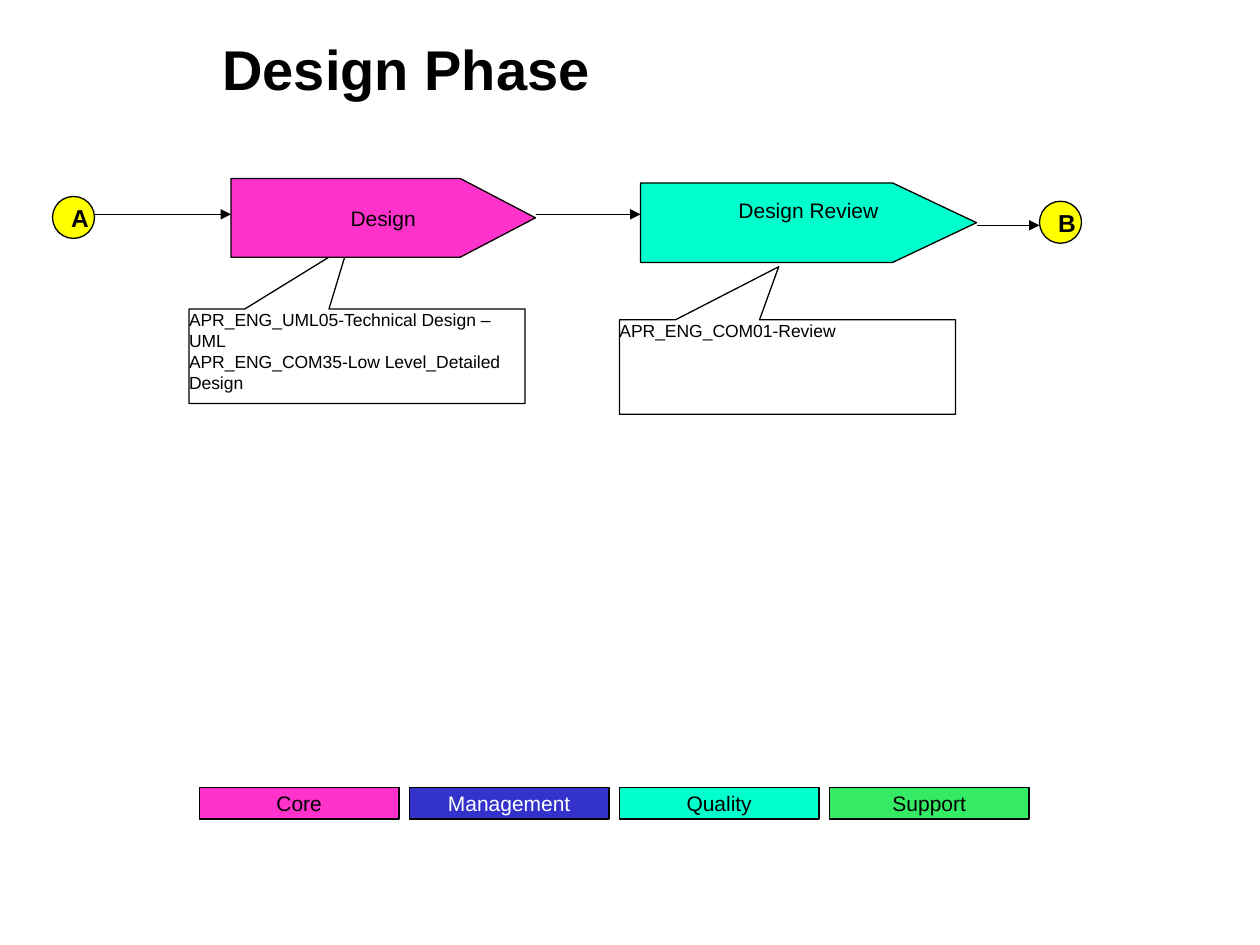
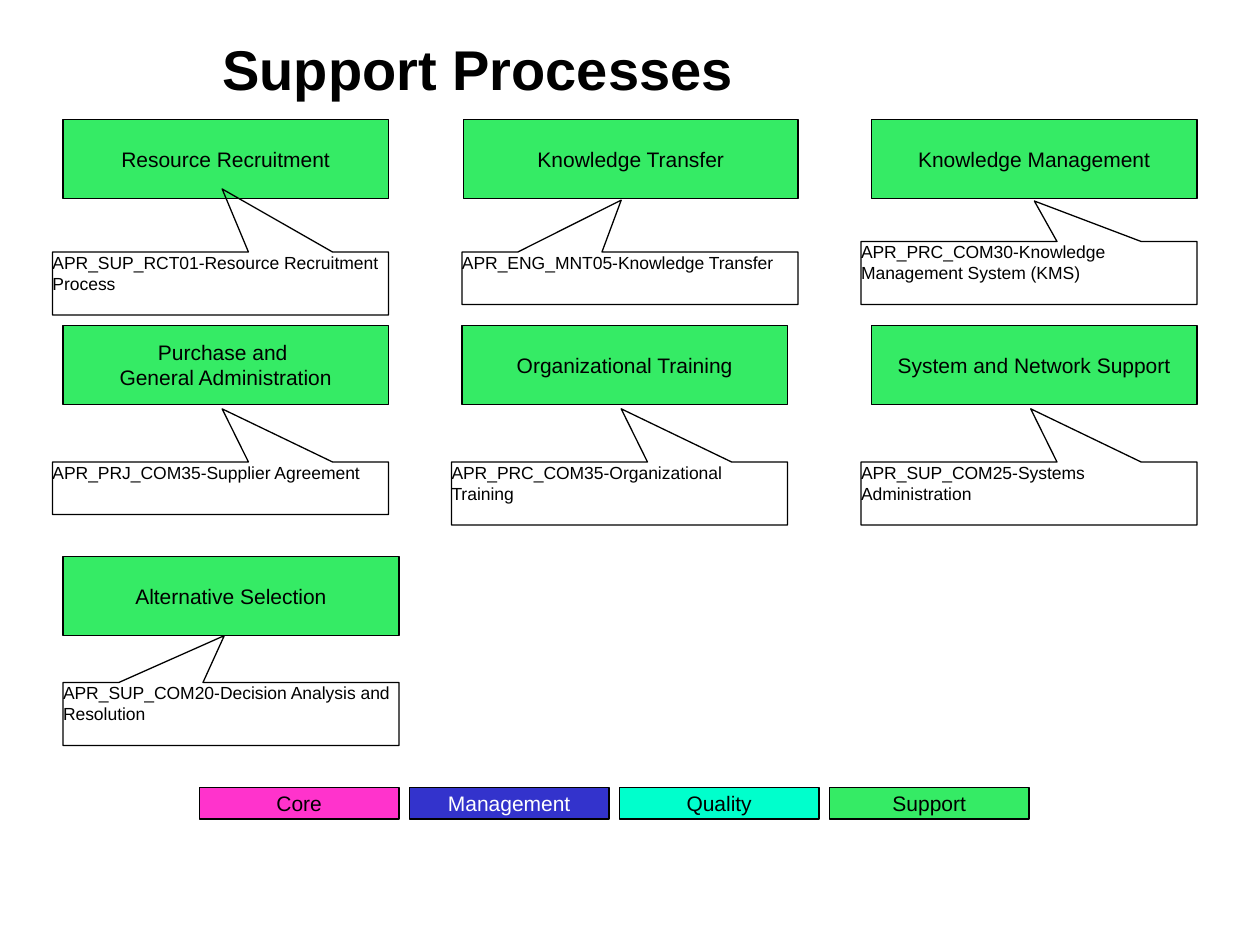
from dataclasses import dataclass

from lxml.etree import SubElement
from pptx import Presentation
from pptx.dml.color import RGBColor
from pptx.enum.shapes import MSO_CONNECTOR, MSO_SHAPE
from pptx.enum.text import MSO_ANCHOR, PP_ALIGN
from pptx.oxml.ns import qn
from pptx.util import Pt


@dataclass(frozen=True)
class Theme:
    font: str = "Arial"
    ink: str = "000000"
    paper: str = "FFFFFF"
    core: str = "FF33CC"
    management: str = "3333CC"
    quality: str = "00FFCC"
    support: str = "35EB65"
    marker: str = "FFFF00"
    title_size: float = 32
    marker_size: float = 14
    label_size: float = 12
    note_size: float = 10
    line: float = 0.75


T = Theme()

# Content (lengths in points)
LEGEND = [
    ("Core", T.core, T.ink),
    ("Management", T.management, T.paper),
    ("Quality", T.quality, T.ink),
    ("Support", T.support, T.ink),
]

# label, fill, left, top, width, height, shoulder width, bottom inset
STEPS = [
    ("Design", T.core, 132, 102, 174, 45, 131, 3.6),
    ("Design Review", T.quality, 366, 104.5, 192, 45.5, 144, 17.4),
]
# lines, left, top, height, pointer offsets
STEP_NOTES = [
    (["APR_ENG_UML05-Technical Design – UML",
      "APR_ENG_COM35-Low Level_Detailed Design"], 108, 176.5, 54, (-0.026, -1.174)),
    (["APR_ENG_COM01-Review"], 354, 182.75, 54, (-0.026, -1.062)),
]
MARKERS = [("A", 30, 112.25), ("B", 594, 115)]
ARROWS = [(54, 132, 122.5), (306, 366, 122.5), (558, 594, 128.75)]  # from x, to x, y

# box lines, left, top, width, note, note left, note top, note height, pointer offsets
SUPPORT = [
    (["Resource Recruitment"], 36, 68.5, 186,
     "APR_SUP_RCT01-Resource Recruitment Process", 30, 144, 36, (0.005, -1.5)),
    (["Knowledge Transfer"], 265, 68.5, 191,
     "APR_ENG_MNT05-Knowledge Transfer", 264, 144, 30, (-0.026, -1.488)),
    (["Knowledge Management"], 498, 68.5, 186,
     "APR_PRC_COM30-Knowledge Management System (KMS)", 492, 138, 36, (0.016, -1.142)),
    (["Purchase and ", "General Administration"], 36, 186, 186,
     "APR_PRJ_COM35-Supplier Agreement", 30, 264, 30, (0.005, -1.512)),
    (["Organizational Training"], 264, 186, 186,
     "APR_PRC_COM35-Organizational Training", 258, 264, 36, (0.005, -1.344)),
    (["System and Network Support"], 498, 186, 186,
     "APR_SUP_COM25-Systems Administration", 492, 264, 36, (0.005, -1.344)),
    (["Alternative Selection"], 36, 318, 192,
     "APR_SUP_COM20-Decision Analysis and Resolution", 36, 390, 36, (-0.02, -1.243)),
]
BOX_HEIGHT = 45
NOTE_WIDTH = 192
MARKER_SIDE = 24


def rgb(value):
    return RGBColor.from_string(value)


def write(s, lines, size, color=T.ink, bold=False, align=PP_ALIGN.CENTER,
          anchor=MSO_ANCHOR.MIDDLE, wrap=False):
    tf = s.text_frame
    tf.word_wrap = wrap
    tf.vertical_anchor = anchor
    for i, line in enumerate(lines):
        p = tf.paragraphs[0] if i == 0 else tf.add_paragraph()
        p.alignment = align
        r = p.add_run()
        r.text = line
        r.font.name = T.font
        r.font.size = Pt(size)
        r.font.bold = bold
        r.font.color.rgb = rgb(color)
    return tf


def style(s, fill=None):
    s.shadow.inherit = False
    if fill:
        s.fill.solid()
        s.fill.fore_color.rgb = rgb(fill)
    else:
        s.fill.background()
    s.line.color.rgb = rgb(T.ink)
    s.line.width = Pt(T.line)
    return s


def add_preset(slide, kind, x, y, w, h, fill=None):
    return style(slide.shapes.add_shape(kind, Pt(x), Pt(y), Pt(w), Pt(h)), fill)


def add_box(slide, lines, fill, x, y, w, h, color=T.ink):
    write(add_preset(slide, MSO_SHAPE.RECTANGLE, x, y, w, h, fill),
          lines, T.label_size, color)


def add_note(slide, lines, x, y, h, pointer):
    s = add_preset(slide, MSO_SHAPE.RECTANGULAR_CALLOUT, x, y, NOTE_WIDTH, h)
    s.adjustments[0], s.adjustments[1] = pointer
    tf = write(s, lines, T.note_size, align=PP_ALIGN.LEFT,
               anchor=MSO_ANCHOR.TOP, wrap=True)
    tf.margin_left = tf.margin_right = tf.margin_top = tf.margin_bottom = 0


def add_step(slide, label, fill, x, y, w, h, shoulder, bottom_inset):
    builder = slide.shapes.build_freeform(Pt(x), Pt(y))
    outline = [(x + shoulder, y), (x + w, y + h / 2), (x + shoulder, y + h), (x, y + h)]
    builder.add_line_segments([(Pt(px), Pt(py)) for px, py in outline], close=True)
    s = style(builder.convert_to_shape(), fill)
    write(s, [label], T.label_size).margin_bottom = Pt(bottom_inset)


def add_arrow(slide, x1, x2, y):
    s = slide.shapes.add_connector(MSO_CONNECTOR.STRAIGHT, Pt(x1), Pt(y), Pt(x2), Pt(y))
    s.line.color.rgb = rgb(T.ink)
    s.line.width = Pt(T.line)
    SubElement(s.line._get_or_add_ln(), qn("a:tailEnd"), type="triangle")
    SubElement(s._element.spPr, qn("a:effectLst"))


def add_slide(prs, title):
    slide = prs.slides.add_slide(prs.slide_layouts[6])
    s = slide.shapes.add_textbox(Pt(120), Pt(12), Pt(588), Pt(54))
    write(s, [title], T.title_size, bold=True, align=PP_ALIGN.LEFT, wrap=True)
    return slide


def add_legend(slide):
    for i, (label, fill, color) in enumerate(LEGEND):
        add_box(slide, [label], fill, 114 + i * 120, 450, 114, 18, color)


def main():
    prs = Presentation()
    prs.slide_width, prs.slide_height = Pt(720), Pt(540)

    # Design flow
    slide = add_slide(prs, "Design Phase")
    for note in STEP_NOTES:
        add_note(slide, *note)
    for step in STEPS:
        add_step(slide, *step)
    for arrow in ARROWS:
        add_arrow(slide, *arrow)
    add_legend(slide)
    for letter, x, y in MARKERS:
        s = add_preset(slide, MSO_SHAPE.FLOWCHART_CONNECTOR, x, y,
                       MARKER_SIDE, MARKER_SIDE, T.marker)
        write(s, [letter], T.marker_size, bold=True, wrap=True)

    # Support processes
    slide = add_slide(prs, "Support Processes")
    for lines, x, y, w, note, note_x, note_y, note_h, pointer in SUPPORT:
        add_box(slide, lines, T.support, x, y, w, BOX_HEIGHT)
        add_note(slide, [note], note_x, note_y, note_h, pointer)
    add_legend(slide)

    prs.save("out.pptx")


if __name__ == "__main__":
    main()
